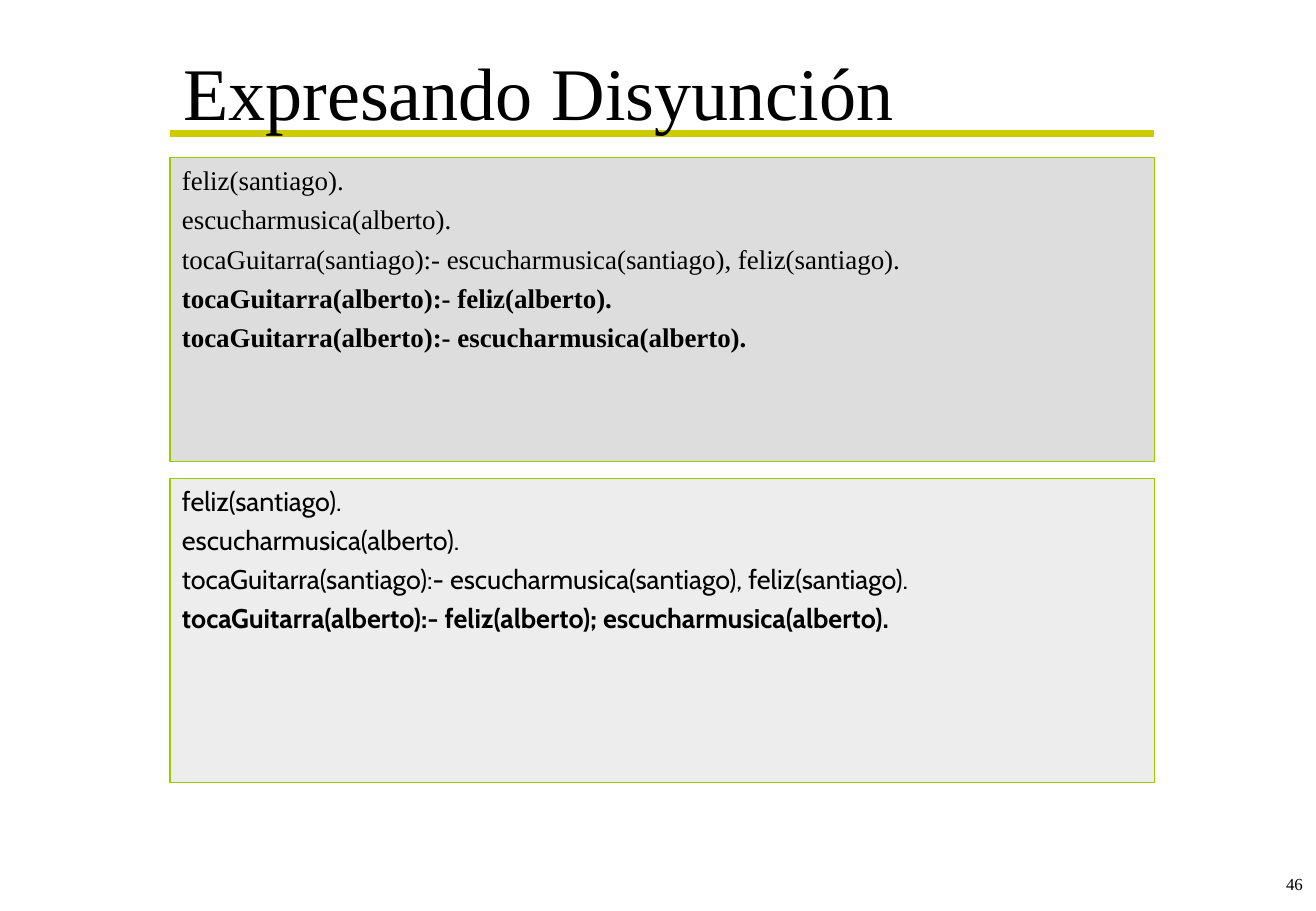
from lxml import etree
from pptx import Presentation
from pptx.dml.color import RGBColor
from pptx.enum.shapes import MSO_CONNECTOR, MSO_SHAPE
from pptx.enum.text import MSO_ANCHOR, PP_ALIGN
from pptx.oxml.ns import qn
from pptx.util import Inches, Pt

RECTANGLE = MSO_SHAPE.RECTANGLE
STRAIGHT = MSO_CONNECTOR.STRAIGHT
TOP, MIDDLE = MSO_ANCHOR.TOP, MSO_ANCHOR.MIDDLE
LEFT, RIGHT = PP_ALIGN.LEFT, PP_ALIGN.RIGHT

SERIF, SANS = "Times New Roman", "Cabin"
BLACK, GREY, GREEN, OLIVE = "000000", "DDDDDD", "99CC00", "CCCC00"
PANEL_LEFT, PANEL_WIDTH, PANEL_HEIGHT = 1.4, 8.11, 2.5
HANGING = 0.38

FACTS = [
    ("feliz(santiago).", False),
    ("escucharmusica(alberto).", False),
    ("tocaGuitarra(santiago):- escucharmusica(santiago), feliz(santiago).", False),
]
TWO_RULES = FACTS + [
    ("tocaGuitarra(alberto):- feliz(alberto).", True),
    ("tocaGuitarra(alberto):- escucharmusica(alberto).", True),
]
ONE_RULE = FACTS + [
    ("tocaGuitarra(alberto):- feliz(alberto); escucharmusica(alberto).", True),
]


def color(value):
    """Turn a hex string into a colour."""
    return RGBColor.from_string(value)


def add_words(paragraph, words, size, font, bold=False):
    """Append one formatted black run to a paragraph."""
    run = paragraph.add_run()
    run.text = words
    run.font.size = Pt(size)
    run.font.name = font
    run.font.bold = bold
    run.font.color.rgb = color(BLACK)


def add_label(slide, box, words, size, align=LEFT, anchor=TOP):
    """Add a one-line text box."""
    frame = slide.shapes.add_textbox(*map(Inches, box)).text_frame
    frame.word_wrap = True
    frame.vertical_anchor = anchor
    frame.paragraphs[0].alignment = align
    add_words(frame.paragraphs[0], words, size, SERIF)


def add_title_rule(slide, top):
    """Draw the thick line under the title."""
    rule = slide.shapes.add_connector(
        STRAIGHT, Inches(PANEL_LEFT), Inches(top),
        Inches(PANEL_LEFT + PANEL_WIDTH), Inches(top))
    rule.line.color.rgb = color(OLIVE)
    rule.line.width = Pt(4.5)
    etree.SubElement(rule._element.spPr, qn("a:effectLst"))


def add_code_panel(slide, top, clauses, font, opacity=100):
    """Add a grey panel holding one Prolog clause per paragraph."""
    panel = slide.shapes.add_shape(
        RECTANGLE, Inches(PANEL_LEFT), Inches(top),
        Inches(PANEL_WIDTH), Inches(PANEL_HEIGHT))
    panel.shadow.inherit = False
    panel.fill.solid()
    panel.fill.fore_color.rgb = color(GREY)
    if opacity < 100:
        fill_color = panel._element.spPr.find(qn("a:solidFill"))[0]
        etree.SubElement(fill_color, qn("a:alpha"), val=str(opacity * 1000))
    panel.line.color.rgb = color(GREEN)
    panel.line.width = Pt(0.75)

    frame = panel.text_frame
    frame.word_wrap = True
    frame.vertical_anchor = TOP
    for index, (clause, bold) in enumerate(clauses):
        paragraph = frame.add_paragraph() if index else frame.paragraphs[0]
        paragraph.alignment = LEFT
        if index:
            paragraph.space_before = Pt(4)
        properties = paragraph._p.get_or_add_pPr()
        properties.set("marL", str(Inches(HANGING)))
        properties.set("indent", str(-Inches(HANGING)))
        add_words(paragraph, clause, 16, font, bold)


def main():
    """Build and save the slide."""
    deck = Presentation()
    deck.slide_width, deck.slide_height = Inches(10.84), Inches(7.5)
    slide = deck.slides.add_slide(deck.slide_layouts[6])
    add_title_rule(slide, 1.1)
    add_label(slide, (1.41, 0.28, 8.1, 0.93), "Expresando Disyunción", 44, anchor=MIDDLE)
    add_code_panel(slide, 1.3, TWO_RULES, SERIF)
    add_code_panel(slide, 3.94, ONE_RULE, SANS, opacity=50)
    add_label(slide, (9.03, 7.14, 1.8, 0.36), "46", 10, align=RIGHT)
    deck.save("out.pptx")


if __name__ == "__main__":
    main()
